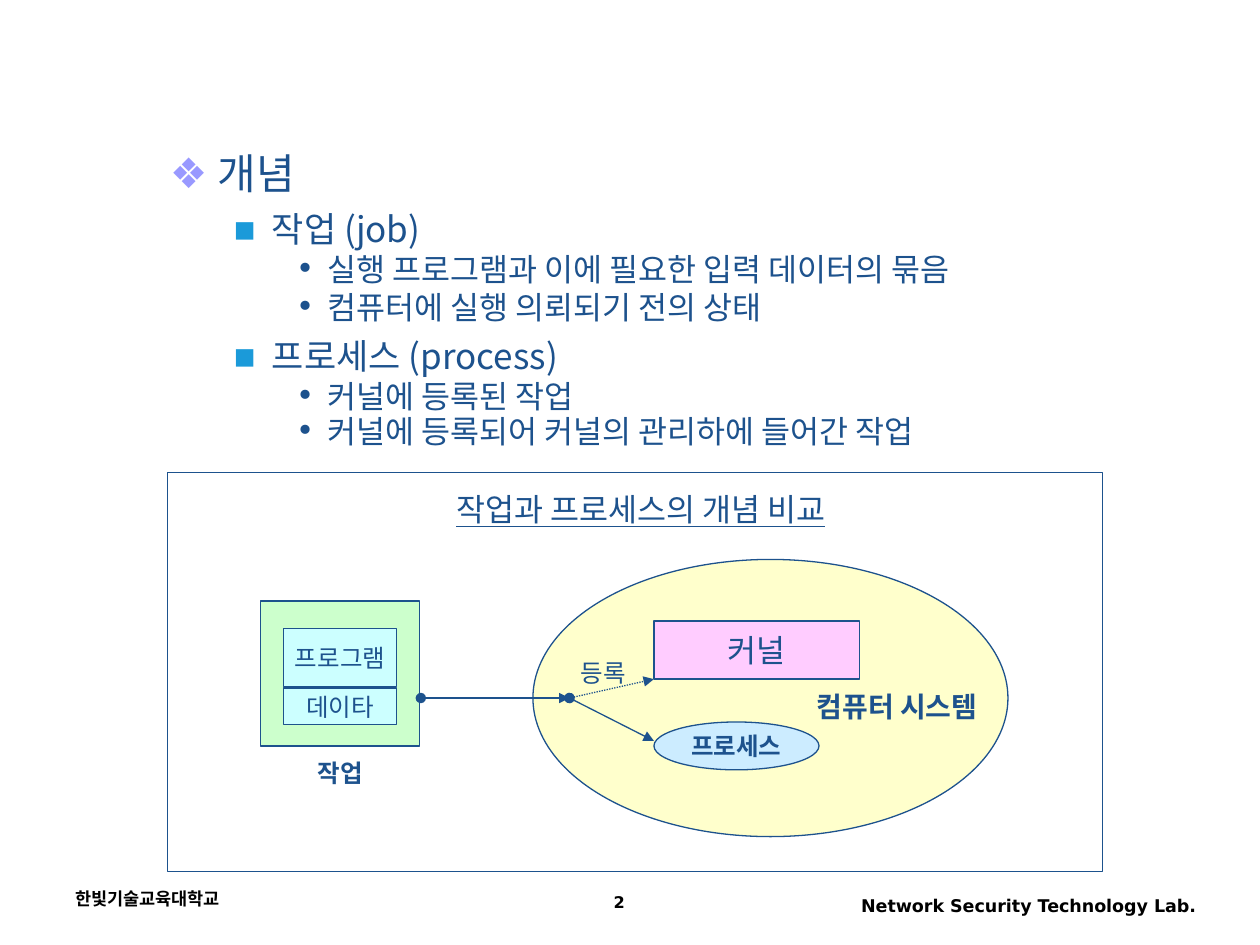
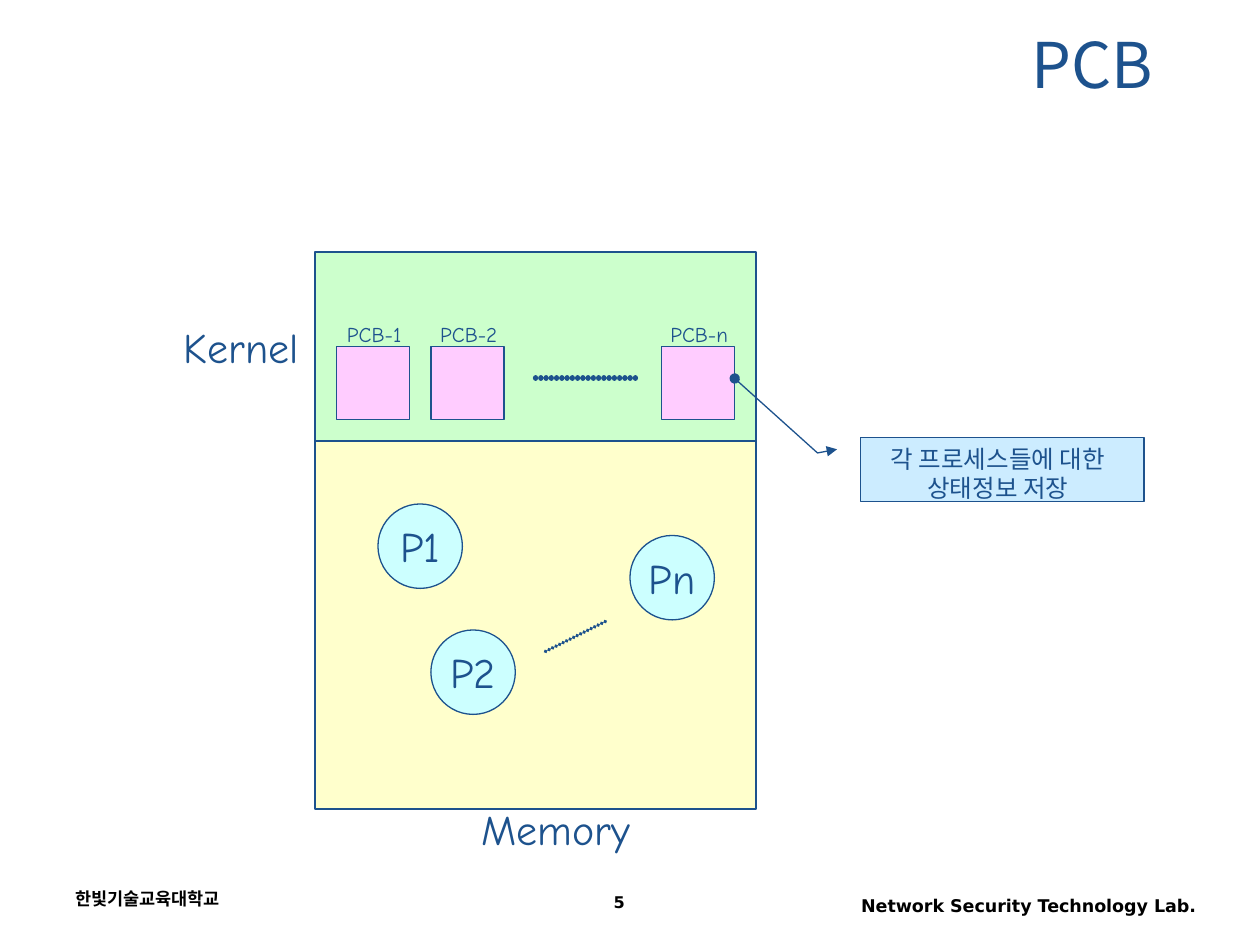
"""Build two slides comparing jobs with processes and showing PCBs in memory."""
from lxml.etree import SubElement
from pptx import Presentation
from pptx.dml.color import RGBColor
from pptx.enum.dml import MSO_LINE
from pptx.enum.shapes import MSO_CONNECTOR, MSO_SHAPE as SHAPE
from pptx.enum.text import MSO_ANCHOR as ANCHOR, PP_ALIGN as ALIGN
from pptx.oxml.ns import qn
from pptx.util import Inches, Pt

COLORS = {
    "navy": "1D528D", "black": "000000", "white": "FFFFFF", "lilac": "9999FF",
    "azure": "1B9AD9", "yellow": "FFFFCC", "green": "CCFFCC", "cyan": "CCFFFF",
    "pink": "FFCCFF", "sky": "CCECFF",
}
KOREAN, NARROW, COMIC, DEJAVU = "Noto Sans CJK KR", "Arial Narrow", "Comic Neue", "DejaVu Sans"

SCHOOL = "한빛기술교육대학교"
LAB = "Network Security Technology Lab."

LEVELS = [
    {"size": 24, "bullet": "❖", "color": "lilac", "left": 0.38, "hang": 0.38, "before": 6},
    {"size": 20, "bullet": "▪", "color": "azure", "left": 0.81, "hang": 0.31, "before": 5},
    {"size": 18, "bullet": "•", "color": "navy", "left": 1.25, "hang": 0.25, "before": 4.5},
]
OUTLINE = [
    (0, 0.9, "개념"),
    (1, 1, "작업 (job)"),
    (2, 0.8, "실행 프로그램과 이에 필요한 입력 데이터의 묶음"),
    (2, 0.8, "컴퓨터에 실행 의뢰되기 전의 상태"),
    (1, 1, "프로세스 (process)"),
    (2, 0.8, "커널에 등록된 작업"),
    (2, 0.7, "커널에 등록되어 커널의 관리하에 들어간 작업"),
]

CONCEPT_SHAPES = [
    (SHAPE.RECTANGLE, (1.33, 3.75, 7.42, 3.17), "white", "", {}),
    (SHAPE.OVAL, (4.23, 4.44, 3.77, 2.2), "yellow", "", {}),
    (SHAPE.RECTANGLE, (2.07, 4.77, 1.26, 1.15), "green", "", {}),
    (SHAPE.RECTANGLE, (2.25, 4.99, 0.9, 0.46), "cyan", "프로그램", {"size": 14}),
    (SHAPE.RECTANGLE, (2.25, 5.46, 0.9, 0.29), "cyan", "데이타", {"size": 14}),
    (SHAPE.RECTANGLE, (5.19, 4.93, 1.63, 0.46), "pink", "커널", {"size": 18}),
    (SHAPE.OVAL, (5.19, 5.73, 1.31, 0.38), "sky", "프로세스", {"size": 14, "bold": True}),
]
CONCEPT_LABELS = [
    ((2.42, 5.97, 0.56, 0.34), "작업", {"size": 14, "bold": True}),
    ((4.51, 5.17, 0.56, 0.34), "등록", {"size": 14}),
    ((6.38, 5.42, 1.48, 0.37), "컴퓨터 시스템", {"size": 16, "bold": True}),
]
DIAGRAM_TITLE = ((3.5, 3.83, 3.17, 0.42), "작업과 프로세스의 개념 비교")
JOB_PORT, ENTRY = (3.34, 5.54), (4.52, 5.54)
CONCEPT_ARROWS = [
    (JOB_PORT, ENTRY, None),
    (ENTRY, (5.19, 5.39), MSO_LINE.ROUND_DOT),
    (ENTRY, (5.19, 5.88), None),
]

MEMORY_AREAS = [((2.5, 2, 3.5, 1.5), "green"), ((2.5, 3.5, 3.5, 2.92), "yellow")]
MEMORY_LABELS = [((3.67, 6.33, 1.48, 0.5), "Memory"), ((1.31, 2.5, 1.21, 0.5), "Kernel")]
PCBS = [("PCB-1", 2.67), ("PCB-2", 3.42), ("PCB-n", 5.25)]
PROCESSES = [("P1", 3, 4), ("P2", 3.42, 5), ("Pn", 5, 4.25)]
ELLIPSES = [((4.25, 3), (5.08, 3), 3), ((4.33, 5.17), (4.83, 4.92), 2.25)]
CALLOUT = (6.83, 3.47, 2.25, 0.51)
CALLOUT_TEXT = ["각 프로세스들에 대한", "상태정보 저장"]
CALLOUT_POINTS = [0.188, -0.083, 0.245, -0.152, -0.915, -0.444]


def rgb(name):
    return RGBColor.from_string(COLORS[name])


def add_run(paragraph, text, font, size, color="navy", bold=False, underline=False):
    run = paragraph.add_run()
    run.text = text
    run.font.name, run.font.size = font, Pt(size)
    run.font.bold, run.font.underline = bold, underline
    run.font.color.rgb = rgb(color)
    SubElement(run.font._element, qn("a:ea"), typeface=KOREAN)


def write(shape, lines, font, size, align=ALIGN.CENTER, anchor=ANCHOR.MIDDLE, wrap=False,
          spacing=None, before=None, **style):
    frame = shape.text_frame
    frame.word_wrap, frame.vertical_anchor = wrap, anchor
    for index, line in enumerate(lines):
        paragraph = frame.add_paragraph() if index else frame.paragraphs[0]
        paragraph.alignment, paragraph.line_spacing = align, spacing
        if before:
            paragraph.space_before = Pt(before)
        add_run(paragraph, line, font, size, **style)


def add_label(slide, at, lines, font, size, **style):
    write(slide.shapes.add_textbox(*map(Inches, at)), lines, font, size, **style)


def add_box(slide, kind, at, fill):
    shape = slide.shapes.add_shape(kind, *map(Inches, at))
    shape.shadow.inherit = False
    shape.fill.solid()
    shape.fill.fore_color.rgb = rgb(fill)
    shape.line.color.rgb, shape.line.width = rgb("navy"), Pt(0.75)
    return shape


def add_ends(shape, head, tail):
    line = shape.line._get_or_add_ln()
    SubElement(line, qn("a:headEnd"), type=head)
    SubElement(line, qn("a:tailEnd"), type=tail)


def add_line(slide, start, end, width=0.75):
    points = map(Inches, (*start, *end))
    connector = slide.shapes.add_connector(MSO_CONNECTOR.STRAIGHT, *points)
    connector.line.color.rgb, connector.line.width = rgb("navy"), Pt(width)
    SubElement(connector._element.spPr, qn("a:effectLst"))
    return connector


def add_dots(slide, start, end, width):
    line = add_line(slide, start, end, width).line._get_or_add_ln()
    line.set("cap", "rnd")
    dashes = SubElement(line, qn("a:custDash"))
    SubElement(dashes, qn("a:ds"), d="1000", sp="99000")


def add_outline(slide):
    frame = slide.shapes.add_textbox(*map(Inches, (1.25, 1.17, 7.75, 2.58))).text_frame
    frame.word_wrap = True
    for index, (depth, spacing, text) in enumerate(OUTLINE):
        level = LEVELS[depth]
        paragraph = frame.add_paragraph() if index else frame.paragraphs[0]
        paragraph.level, paragraph.line_spacing = depth, spacing
        paragraph.space_before = Pt(level["before"])
        properties = paragraph._p.get_or_add_pPr()
        properties.set("marL", str(Inches(level["left"])))
        properties.set("indent", str(-Inches(level["hang"])))
        bullet_color = SubElement(properties, qn("a:buClr"))
        SubElement(bullet_color, qn("a:srgbClr"), val=COLORS[level["color"]])
        SubElement(properties, qn("a:buFont"), typeface=DEJAVU)
        SubElement(properties, qn("a:buChar"), char=level["bullet"])
        add_run(paragraph, text, KOREAN, level["size"])


def new_slide(presentation, number):
    slide = presentation.slides.add_slide(presentation.slide_layouts[6])
    style = {"font": DEJAVU, "color": "black", "bold": True, "anchor": ANCHOR.TOP, "wrap": True}
    add_label(slide, (0.5, 7, 2.33, 0.33), [SCHOOL], size=10, align=ALIGN.LEFT, **style)
    add_label(slide, (6.42, 7.05, 3.17, 0.32), [LAB], size=10, align=ALIGN.RIGHT, **style)
    add_label(slide, (3.75, 7.05, 2.33, 0.28), [str(number)], size=9.2, spacing=0.9, **style)
    return slide


def build_concept(presentation):
    slide = new_slide(presentation, 2)
    add_outline(slide)
    for kind, at, fill, text, style in CONCEPT_SHAPES:
        shape = add_box(slide, kind, at, fill)
        if text:
            write(shape, [text], NARROW, **style)
    for start, end, dash in CONCEPT_ARROWS:
        arrow = add_line(slide, start, end)
        if dash:
            arrow.line.dash_style = dash
        add_ends(arrow, "oval", "triangle")
    for at, text, style in CONCEPT_LABELS:
        add_label(slide, at, [text], NARROW, anchor=ANCHOR.TOP, **style)
    at, text = DIAGRAM_TITLE
    heading = add_box(slide, SHAPE.FLOWCHART_ALTERNATE_PROCESS, at, "white")
    heading.fill.background()
    heading.line.fill.background()
    write(heading, [text], NARROW, 18, before=11.2, underline=True)


def build_pcb(presentation):
    slide = new_slide(presentation, 5)
    add_label(slide, (0.75, 0.17, 8.5, 0.66), ["PCB"], KOREAN, 36, align=ALIGN.RIGHT, wrap=True)
    for at, fill in MEMORY_AREAS:
        add_box(slide, SHAPE.RECTANGLE, at, fill)
    for at, text in MEMORY_LABELS:
        add_label(slide, at, [text], COMIC, 24)
    for text, left in PCBS:
        add_box(slide, SHAPE.RECTANGLE, (left, 2.75, 0.58, 0.58), "pink")
        add_label(slide, (left - 0.1, 2.5, 0.8, 0.3), [text], COMIC, 12)
    for text, left, top in PROCESSES:
        circle = add_box(slide, SHAPE.OVAL, (left, top, 0.67, 0.67), "cyan")
        write(circle, [text], COMIC, 24)
    for start, end, width in ELLIPSES:
        add_dots(slide, start, end, width)
    callout = add_box(slide, SHAPE.LINE_CALLOUT_2, CALLOUT, "sky")
    for index, value in enumerate(CALLOUT_POINTS):
        callout.adjustments[index] = value
    add_ends(callout, "triangle", "oval")
    add_label(slide, (6.96, 3.47, 1.92, 0.57), CALLOUT_TEXT, NARROW, 14)


def main():
    presentation = Presentation()
    presentation.slide_width, presentation.slide_height = Inches(10), Inches(7.5)
    build_concept(presentation)
    build_pcb(presentation)
    presentation.save("out.pptx")


if __name__ == "__main__":
    main()
